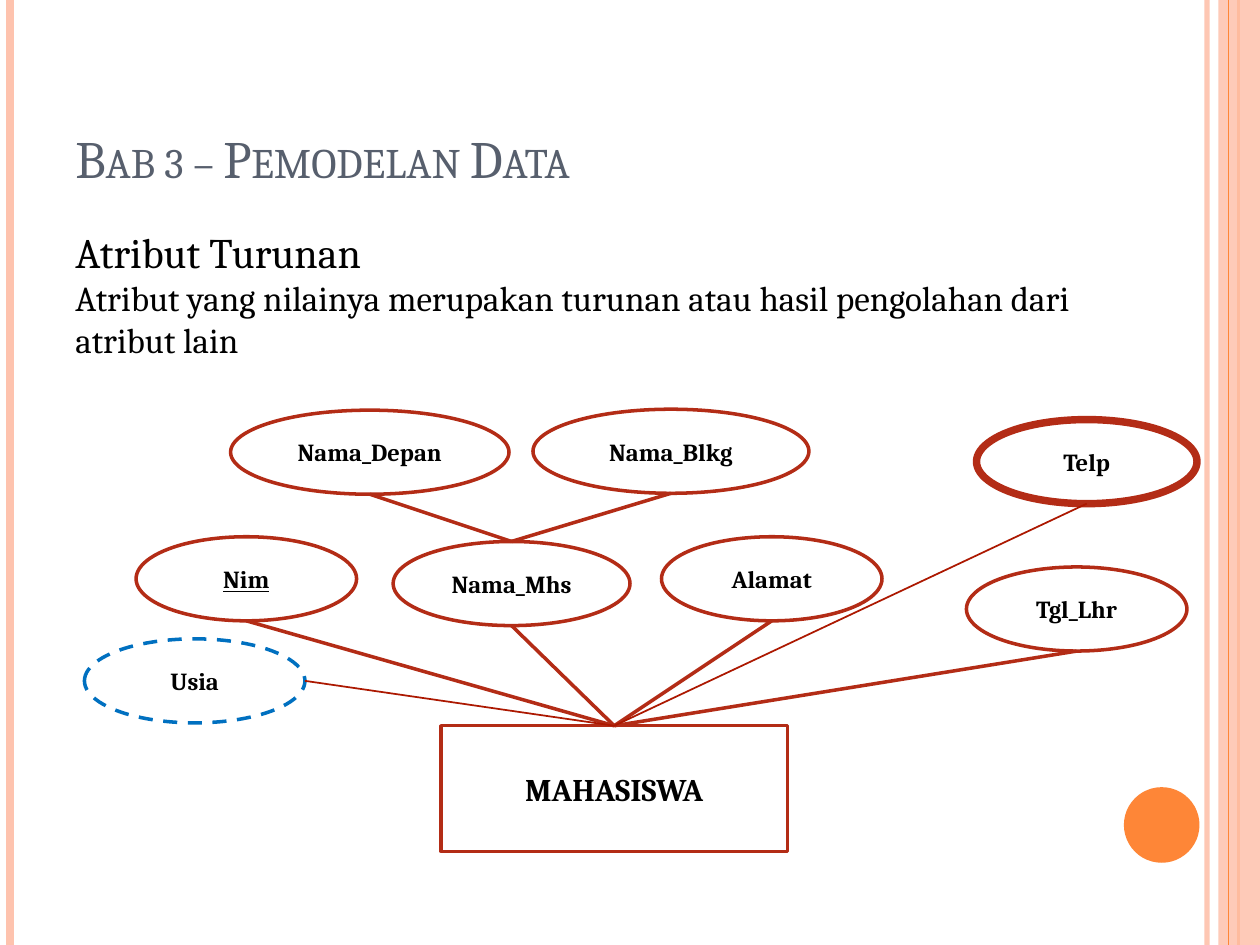
from pptx import Presentation
from pptx.dml.color import RGBColor
from pptx.enum.dml import MSO_LINE
from pptx.enum.shapes import MSO_CONNECTOR, MSO_SHAPE
from pptx.enum.text import MSO_ANCHOR, PP_ALIGN
from pptx.util import Inches, Pt
from lxml import etree

OVAL, RECT, STRAIGHT = MSO_SHAPE.OVAL, MSO_SHAPE.RECTANGLE, MSO_CONNECTOR.STRAIGHT
TOP, MIDDLE, BOTTOM = MSO_ANCHOR.TOP, MSO_ANCHOR.MIDDLE, MSO_ANCHOR.BOTTOM
LEFT, CENTER, DASH = PP_ALIGN.LEFT, PP_ALIGN.CENTER, MSO_LINE.DASH
WIDTH, HEIGHT = Inches(10), Inches(7.5)
FONT = "Cambria"
BLACK, WHITE = RGBColor(0, 0, 0), RGBColor(255, 255, 255)
SLATE = RGBColor(0x57, 0x5F, 0x6D)
PEACH, ORANGE = RGBColor(0xFE, 0xC3, 0xAE), RGBColor(0xFE, 0x86, 0x37)
RED, DARK_RED = RGBColor(0xB3, 0x2C, 0x16), RGBColor(0xAC, 0x18, 0x00)
BLUE = RGBColor(0x00, 0x70, 0xC0)
NS = "{http://schemas.openxmlformats.org/drawingml/2006/main}"

ATTRIBUTES = {
    "Nim": (10.8, 56.8, 17.5),
    "Nama_Mhs": (31.2, 57.3, 18.8),
    "Alamat": (52.5, 56.8, 17.5),
    "Tgl_Lhr": (76.7, 60, 17.5),
    "Nama_Depan": (18.3, 43.4, 22.1),
    "Nama_Blkg": (42.3, 43.3, 21.9),
    "Telp": (77.5, 44.4, 17.5),
    "Usia": (6.7, 67.6, 17.5),
}
STYLES = {
    "Nim": {"underline": True},
    "Telp": {"weight": 4.25},
    "Usia": {"color": BLUE, "dash": DASH, "fill": None},
}


def share(x, y):
    """Turn percentages of the slide's width and height into lengths."""
    return round(WIDTH * x / 100), round(HEIGHT * y / 100)


def set_alpha(fill_parent, percent):
    """Make the solid colour inside an element partly transparent."""
    color = fill_parent.find(f".//{NS}srgbClr")
    etree.SubElement(color, NS + "alpha").set("val", str(percent * 1000))


def write(shape, *parts, color=BLACK, bold=False, underline=False, small_caps=False,
          align=CENTER, anchor=MIDDLE):
    """Write (text, size) parts, one to a line, in a single paragraph."""
    tf = shape.text_frame
    tf.word_wrap = True
    tf.vertical_anchor = anchor
    p = tf.paragraphs[0]
    p.alignment = align
    for i, (text, size) in enumerate(parts):
        if i:
            p.add_line_break()
        r = p.add_run()
        r.text = text
        r.font.name, r.font.size = FONT, Pt(size)
        r.font.bold, r.font.underline = bold, underline
        r.font.color.rgb = color
        if small_caps:
            r.font._element.set("cap", "small")


def add_text(s, x, y, w, h, *parts, **style):
    """Add a left-aligned text box."""
    box = s.shapes.add_textbox(*share(x, y), *share(w, h))
    write(box, *parts, align=LEFT, **style)


def add_box(s, kind, x, y, w, h, fill=WHITE, color=None, weight=2, dash=None):
    """Add a preset shape with an optional fill and outline."""
    sp = s.shapes.add_shape(kind, *share(x, y), *share(w, h))
    sp.shadow.inherit = False
    if fill is None:
        sp.fill.background()
    else:
        sp.fill.solid()
        sp.fill.fore_color.rgb = fill
    if color is None:
        sp.line.fill.background()
    else:
        sp.line.color.rgb = color
        sp.line.width = Pt(weight)
        if dash:
            sp.line.dash_style = dash
    return sp


def add_line(s, start, end, color=RED, weight=2):
    """Add a straight line between two points."""
    line = s.shapes.add_connector(STRAIGHT, *start, *end)
    line.line.color.rgb = color
    line.line.width = Pt(weight)
    etree.SubElement(line._element.spPr, NS + "effectLst")
    return line


def top(sp):
    """Return the middle of a shape's top edge."""
    return sp.left + sp.width // 2, sp.top


def bottom(sp):
    """Return the middle of a shape's bottom edge."""
    return sp.left + sp.width // 2, sp.top + sp.height


def right(sp):
    """Return the middle of a shape's right edge."""
    return sp.left + sp.width, sp.top + sp.height // 2


def add_rule(s, x, color, weight):
    """Add a vertical rule over the full height of the slide."""
    return add_line(s, share(x, 0), share(x, 100), color, weight)


def add_frame(s):
    """Add the stripes at the edges and the round accent."""
    set_alpha(add_rule(s, 95.8, PEACH, 3)._element, 93)
    add_rule(s, 0.8, PEACH, 4.5)
    add_rule(s, 98.3, ORANGE, 1.5)
    set_alpha(add_box(s, RECT, 96.7, 0, 3.3, 100, fill=PEACH)._element, 87)
    add_rule(s, 97.5, ORANGE, 0.75)
    add_box(s, OVAL, 89.2, 83.3, 6, 8, fill=ORANGE)


def add_attribute(s, name, x, y, w, underline=False, color=RED, **style):
    """Add an attribute as a labelled ellipse."""
    sp = add_box(s, OVAL, x, y, w, 8.9, color=color, **style)
    write(sp, (name, 14), bold=True, underline=underline)
    return sp


def add_diagram(s):
    """Add the entity, its attributes and the lines joining them."""
    entity = add_box(s, RECT, 35, 76.8, 27.5, 13.3, color=RED)
    write(entity, ("MAHASISWA", 18), bold=True)
    ovals = {name: add_attribute(s, name, *place, **STYLES.get(name, {}))
             for name, place in ATTRIBUTES.items()}
    for name in ("Nim", "Nama_Mhs", "Alamat", "Tgl_Lhr"):
        add_line(s, top(entity), bottom(ovals[name]))
    for name in ("Nama_Depan", "Nama_Blkg"):
        add_line(s, top(ovals["Nama_Mhs"]), bottom(ovals[name]))
    for point in (bottom(ovals["Telp"]), right(ovals["Usia"])):
        add_line(s, point, top(entity), DARK_RED, 1)


def main():
    """Build the slide and save it."""
    prs = Presentation()
    prs.slide_width, prs.slide_height = WIDTH, HEIGHT
    s = prs.slides.add_slide(prs.slide_layouts[6])
    add_frame(s)
    add_text(s, 5, 4, 81.7, 16.7, ("Bab 3 – Pemodelan Data", 30),
             color=SLATE, small_caps=True, anchor=BOTTOM)
    add_text(s, 5, 23.3, 81.7, 71.1, ("Atribut Turunan", 24),
             ("Atribut yang nilainya merupakan turunan atau hasil pengolahan dari atribut lain", 20),
             anchor=TOP)
    add_diagram(s)
    prs.save("out.pptx")


if __name__ == "__main__":
    main()
